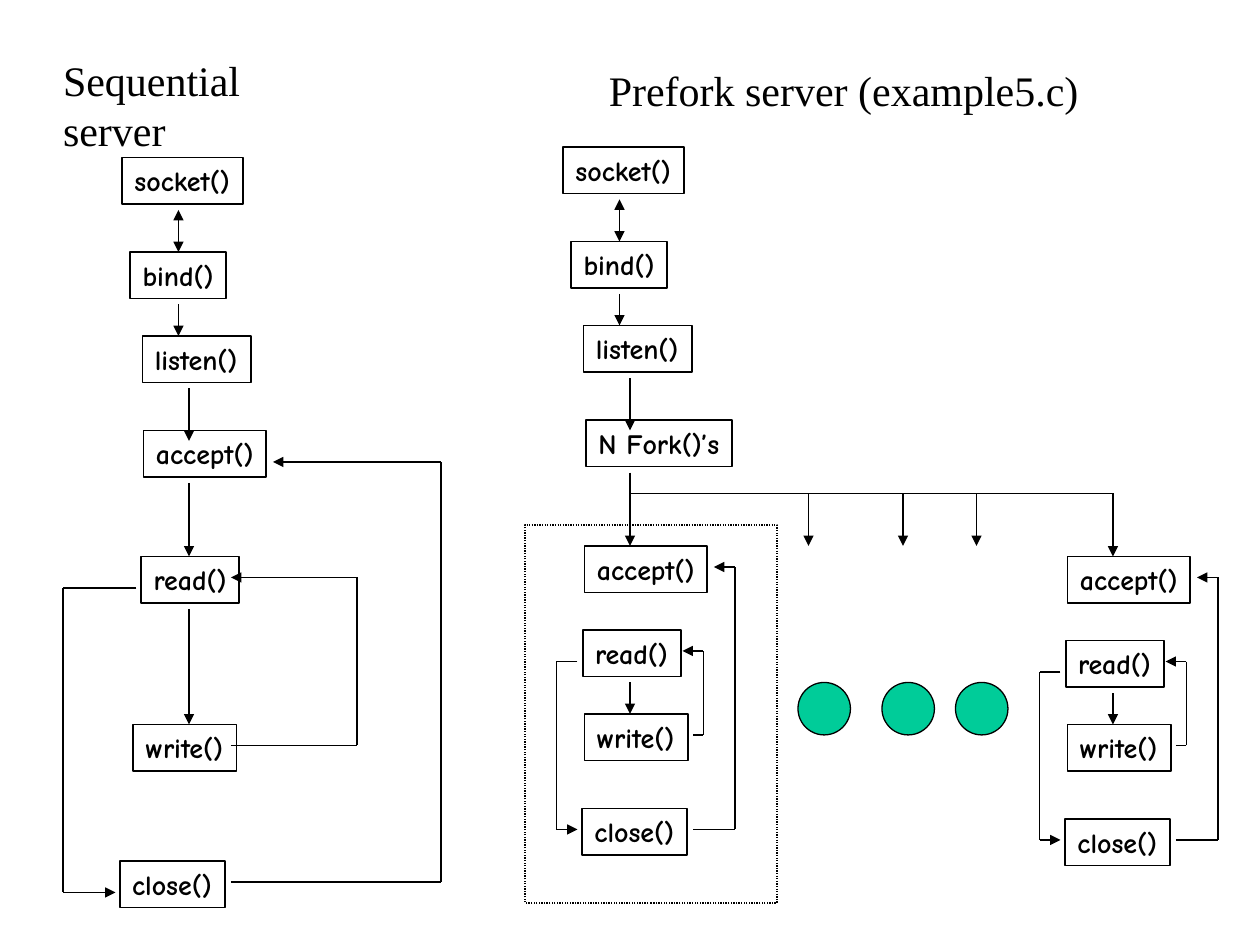
from dataclasses import dataclass
from itertools import pairwise
from typing import Any, NamedTuple

from lxml.etree import SubElement
from pptx import Presentation
from pptx.dml.color import RGBColor
from pptx.enum.dml import MSO_LINE
from pptx.enum.shapes import MSO_CONNECTOR, MSO_SHAPE
from pptx.enum.text import MSO_ANCHOR, MSO_AUTO_SIZE, PP_ALIGN
from pptx.oxml.ns import qn
from pptx.util import Pt


@dataclass(frozen=True)
class Theme:
    ink: RGBColor = RGBColor(0, 0, 0)
    dot: RGBColor = RGBColor(0x00, 0xCC, 0x99)
    title_font: str = "Times New Roman"
    title_size: float = 24
    call_font: str = "Comic Neue"
    call_size: float = 16
    box_line: float = 1
    thin_line: float = 0.75


class Point(NamedTuple):
    x: float
    y: float


class Call(NamedTuple):
    label: str
    x: float
    y: float


class Route(NamedTuple):
    """Corner points of a line that ends in an arrowhead."""
    points: list[Point]
    both_ends: bool = False


THEME = Theme()
CALL_HEIGHT = 26.6
CALL_WIDTHS = {
    "socket()": 69, "bind()": 55, "listen()": 62, "accept()": 70,
    "read()": 56, "write()": 59, "close()": 60, "N Fork()’s": 83.5,
}

SEQUENTIAL_ORIGIN = Point(0, 0)
PREFORK_ORIGIN = Point(252, -6)
WORKER_ORIGINS = [Point(300, 300), Point(576, 306)]

SETUP_CALLS = [Call("socket()", 69.8, 90), Call("bind()", 74.4, 144),
               Call("listen()", 81.4, 192)]
SETUP_ROUTES = [
    Route([Point(102, 120), Point(102, 144)], both_ends=True),
    Route([Point(102, 174), Point(102, 192)]),
    Route([Point(108, 222), Point(108, 252)]),
    Route([Point(108, 276), Point(108, 318)]),
]
SEQUENTIAL_CALLS = [
    Call("accept()", 82, 246), Call("read()", 80.8, 318),
    Call("write()", 76.2, 414), Call("close()", 68.4, 492),
]
SEQUENTIAL_ROUTES = [
    Route([Point(108, 348), Point(108, 414)]),
    Route([Point(132, 426), Point(204, 426), Point(204, 330), Point(132, 330)]),
    Route([Point(132, 504), Point(252, 504), Point(252, 264), Point(156, 264)]),
    Route([Point(78, 336), Point(36, 336), Point(36, 510), Point(66, 510)]),
]
FORK_CALLS = [Call("N Fork()’s", 82.8, 246)]
WORKER_CALLS = [
    Call("accept()", 34, 12), Call("read()", 33, 60),
    Call("write()", 34, 108), Call("close()", 32.6, 162),
]
WORKER_ROUTES = [
    Route([Point(60, 90), Point(60, 108)]),
    Route([Point(96, 120), Point(102, 120), Point(102, 72), Point(90, 72)]),
    Route([Point(30, 78), Point(18, 78), Point(18, 174), Point(30, 174)]),
    Route([Point(96, 174), Point(120, 174), Point(120, 24), Point(108, 24)]),
]
FORK_ROUTES = [
    Route([Point(360, 282), Point(636, 282), Point(636, 318)]),
    *(Route([Point(x, 282), Point(x, 312)]) for x in (462, 516, 558)),
]


def set_values(target: Any, values: dict[str, Any]) -> None:
    for name, value in values.items():
        setattr(target, name, value)


def set_line(line: Any, width: float) -> None:
    line.color.rgb = THEME.ink
    line.width = Pt(width)


def place(shape: Any, x: float, y: float, width: float, height: float) -> None:
    set_values(shape, {"left": Pt(x), "top": Pt(y),
                       "width": Pt(width), "height": Pt(height)})


def write_text(shape: Any, text: str, font_values: dict[str, Any]) -> None:
    frame = shape.text_frame
    frame.text = text
    set_values(frame, {
        "word_wrap": False, "auto_size": MSO_AUTO_SIZE.SHAPE_TO_FIT_TEXT,
        "vertical_anchor": MSO_ANCHOR.TOP,
        "margin_left": Pt(7.2), "margin_right": Pt(7.2),
        "margin_top": Pt(3.6), "margin_bottom": Pt(3.6),
    })
    paragraph = frame.paragraphs[0]
    paragraph.alignment = PP_ALIGN.LEFT
    set_values(paragraph.font, font_values)
    paragraph.font.color.rgb = THEME.ink


def write_heading(shape: Any, text: str) -> None:
    write_text(shape, text, {"name": THEME.title_font,
                             "size": Pt(THEME.title_size), "bold": False})


def add_outline(slide: Any, kind: MSO_SHAPE, x: float, y: float,
                width: float, height: float, line_width: float) -> Any:
    shape = slide.shapes.add_shape(kind, Pt(x), Pt(y), Pt(width), Pt(height))
    shape.shadow.inherit = False
    shape.fill.background()
    set_line(shape.line, line_width)
    return shape


def add_calls(slide: Any, calls: list[Call], origin: Point) -> None:
    for call in calls:
        box = add_outline(slide, MSO_SHAPE.RECTANGLE, origin.x + call.x,
                          origin.y + call.y, CALL_WIDTHS[call.label],
                          CALL_HEIGHT, THEME.box_line)
        write_text(box, call.label, {"name": THEME.call_font,
                                     "size": Pt(THEME.call_size), "bold": True})


def add_segment(slide: Any, start: Point, end: Point, ends: list[str]) -> None:
    """Draw one straight line; ends lists the arrowhead elements it carries."""
    connector = slide.shapes.add_connector(
        MSO_CONNECTOR.STRAIGHT, Pt(start.x), Pt(start.y), Pt(end.x), Pt(end.y))
    set_line(connector.line, THEME.thin_line)
    line_element = connector.line._get_or_add_ln()
    for end_name in ends:
        SubElement(line_element, qn(end_name), type="triangle")
    SubElement(connector._element.spPr, qn("a:effectLst"))


def add_routes(slide: Any, routes: list[Route], origin: Point) -> None:
    for route in routes:
        points = [Point(origin.x + p.x, origin.y + p.y) for p in route.points]
        for start, end in pairwise(points):
            ends = ["a:headEnd"] if route.both_ends else []
            if end == points[-1]:
                ends.append("a:tailEnd")
            add_segment(slide, start, end, ends)


def main() -> None:
    presentation = Presentation()
    set_values(presentation, {"slide_width": Pt(720), "slide_height": Pt(540)})
    slide = presentation.slides.add_slide(presentation.slide_layouts[5])

    place(slide.shapes.title, 28.8, 27.4, 180, 36)
    write_heading(slide.shapes.title, "Sequential server")
    prefork_heading = slide.shapes.add_textbox(Pt(340.8), Pt(33.2), Pt(283), Pt(36))
    write_heading(prefork_heading, "Prefork server (example5.c)")

    for origin, calls in ((SEQUENTIAL_ORIGIN, SEQUENTIAL_CALLS),
                          (PREFORK_ORIGIN, FORK_CALLS)):
        add_calls(slide, SETUP_CALLS + calls, origin)
        add_routes(slide, SETUP_ROUTES, origin)
    add_routes(slide, SEQUENTIAL_ROUTES, SEQUENTIAL_ORIGIN)

    for origin in WORKER_ORIGINS:
        add_calls(slide, WORKER_CALLS, origin)
        add_routes(slide, WORKER_ROUTES, origin)
    add_routes(slide, FORK_ROUTES, Point(0, 0))

    for x in (456, 504, 546):
        dot = add_outline(slide, MSO_SHAPE.OVAL, x, 390, 30, 30, THEME.thin_line)
        dot.fill.solid()
        dot.fill.fore_color.rgb = THEME.dot

    worker_frame = add_outline(slide, MSO_SHAPE.RECTANGLE, *WORKER_ORIGINS[0],
                               144, 216, THEME.thin_line)
    worker_frame.line.dash_style = MSO_LINE.ROUND_DOT

    presentation.save("out.pptx")


if __name__ == "__main__":
    main()
